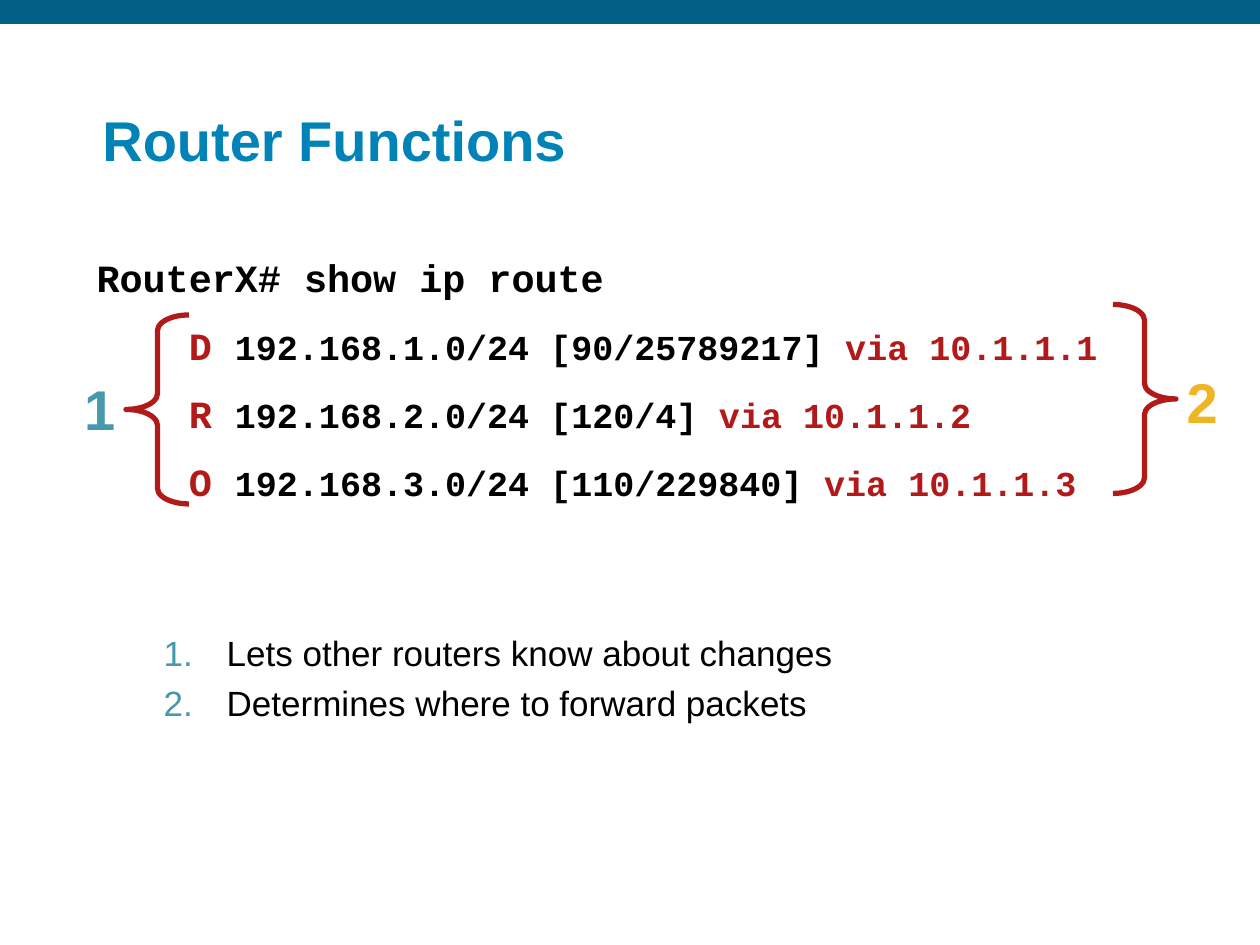
from lxml import etree
from pptx import Presentation
from pptx import util as u
from pptx.dml.color import RGBColor
from pptx.enum import shapes, text
from pptx.oxml.ns import qn

RED, BLACK, TEAL = "B21A1A", "000000", "4798AB"
MONO, SANS = "Courier New", "Arial"
ROUTES = [
    ("D", "192.168.1.0/24 [90/25789217]", "10.1.1.1"),
    ("R", "192.168.2.0/24 [120/4]", "10.1.1.2"),
    ("O", "192.168.3.0/24 [110/229840]", "10.1.1.3"),
]
FUNCTIONS = ["Lets other routers know about changes", "Determines where to forward packets"]


def colour(value):
    return RGBColor.from_string(value)


def place(shape, left, top, width, height):
    shape.left, shape.top = u.Pt(left), u.Pt(top)
    shape.width, shape.height = u.Pt(width), u.Pt(height)


def add_text(para, words, font=SANS, size=20, fill=BLACK, bold=False):
    span = para.add_run()
    span.text = words
    span.font.name = font
    span.font.size = u.Pt(size)
    span.font.bold = bold
    span.font.color.rgb = colour(fill)


def set_frame(frame, side=6, edge=3, anchor=text.MSO_ANCHOR.TOP):
    frame.word_wrap = True
    frame.auto_size = text.MSO_AUTO_SIZE.NONE
    frame.vertical_anchor = anchor
    frame.margin_left = frame.margin_right = u.Pt(side)
    frame.margin_top = frame.margin_bottom = u.Pt(edge)


def next_paragraph(frame, index, gap):
    """Return the paragraph at index, with a gap above all but the first."""
    para = frame.add_paragraph() if index else frame.paragraphs[0]
    para.space_before = u.Pt(gap if index else 0)
    return para


def add_box(page, *bounds):
    box = page.shapes.add_textbox(*map(u.Pt, bounds))
    set_frame(box.text_frame)
    return box.text_frame


def add_bar(page):
    bar = page.shapes.add_shape(shapes.MSO_SHAPE.RECTANGLE, 0, 0, u.Pt(720), u.Pt(13.7))
    bar.shadow.inherit = False
    bar.fill.solid()
    bar.fill.fore_color.rgb = colour("015F85")
    bar.line.fill.background()


def add_brace(page, kind, left, top):
    brace = page.shapes.add_shape(kind, u.Pt(left), u.Pt(top), u.Pt(36), u.Pt(108))
    brace.shadow.inherit = False
    brace.adjustments[0] = 0.25
    brace.fill.background()
    brace.line.color.rgb = colour(RED)
    brace.line.width = u.Pt(3)


def add_marker(page, digit, fill, left, top):
    frame = add_box(page, left, top, 24, 44)
    add_text(frame.paragraphs[0], digit, size=32, fill=fill, bold=True)


def add_routes(page):
    frame = add_box(page, 36, 142, 672, 151)
    add_text(frame.paragraphs[0], " RouterX# show ip route", font=MONO, size=22, bold=True)
    for index, (code, network, gateway) in enumerate(ROUTES, 1):
        para = next_paragraph(frame, index, 12.5)
        add_text(para, f"     {code} ", font=MONO, size=22, fill=RED, bold=True)
        add_text(para, f"{network} ", font=MONO, bold=True)
        add_text(para, f"via {gateway}", font=MONO, fill=RED, bold=True)


def number_paragraph(para, fill):
    props = para._p.get_or_add_pPr()
    props.set("marL", str(u.Pt(45)))
    props.set("indent", str(u.Pt(-36)))
    tint = etree.SubElement(props, qn("a:buClr"))
    etree.SubElement(tint, qn("a:srgbClr"), val=fill)
    etree.SubElement(props, qn("a:buFont"), typeface=SANS)
    etree.SubElement(props, qn("a:buAutoNum"), type="arabicPeriod")


def fill_list(body):
    place(body, 78, 361, 558, 84)
    set_frame(body.text_frame, 6.5, 3.6)
    for index, words in enumerate(FUNCTIONS):
        para = next_paragraph(body.text_frame, index, 8)
        para.level = 1
        para.line_spacing = 0.85
        number_paragraph(para, TEAL)
        add_text(para, words)


def fill_title(title):
    place(title, 52, 36, 641, 66)
    set_frame(title.text_frame, 6.5, 3, text.MSO_ANCHOR.BOTTOM)
    para = title.text_frame.paragraphs[0]
    para.alignment = text.PP_ALIGN.LEFT
    para.line_spacing = 0.9
    add_text(para, "Router Functions", size=32, fill="0183B7", bold=True)


def main():
    deck = Presentation()
    deck.slide_width, deck.slide_height = u.Pt(720), u.Pt(540)
    page = deck.slides.add_slide(deck.slide_layouts[1])
    add_bar(page)
    add_routes(page)
    add_brace(page, shapes.MSO_SHAPE.LEFT_BRACE, 72, 180)
    add_brace(page, shapes.MSO_SHAPE.RIGHT_BRACE, 636, 174)
    add_marker(page, "1", TEAL, 42, 211)
    add_marker(page, "2", "EFB525", 672, 207)
    fill_list(page.placeholders[1])
    fill_title(page.shapes.title)
    deck.save("out.pptx")


if __name__ == "__main__":
    main()
